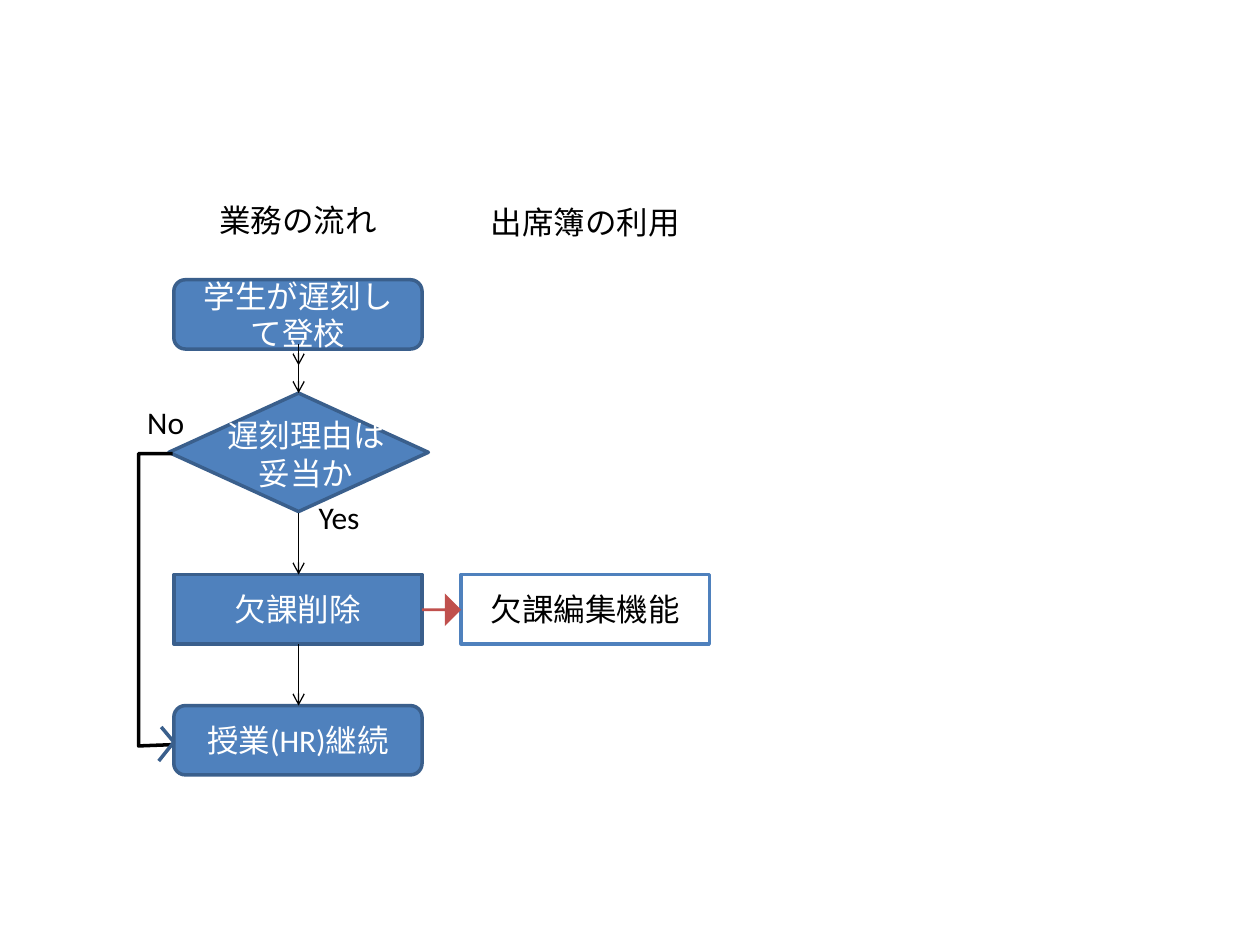
"""Build a flow chart for handling late arrivals."""
from lxml.etree import SubElement
from pptx import Presentation
from pptx.dml.color import RGBColor
from pptx.enum.shapes import MSO_CONNECTOR, MSO_SHAPE
from pptx.enum.text import MSO_ANCHOR, PP_ALIGN
from pptx.oxml.ns import qn
from pptx.util import Inches, Pt

BLUE = RGBColor(0x4F, 0x81, 0xBD)
NAVY = RGBColor(0x3A, 0x5F, 0x8C)
RED = RGBColor(0xC0, 0x50, 0x4D)
WHITE = RGBColor(255, 255, 255)
BLACK = RGBColor(0, 0, 0)
LEFT, RIGHT = 1.38, 3.66
WIDE, HIGH = 1.97, 0.55
MID = 2.37


def write(frame, text, color=BLACK, align=PP_ALIGN.CENTER, anchor=MSO_ANCHOR.TOP):
    """Fill a text frame, one paragraph per line."""
    frame.word_wrap = True
    frame.vertical_anchor = anchor
    frame.text = text
    for para in frame.paragraphs:
        para.alignment = align
        for run in para.runs:
            run.font.size = Pt(18)
            run.font.name = "Calibri"
            run.font.color.rgb = color


def label(slide, text, x, y, w, h=0.4, **form):
    """Add a text box."""
    box = slide.shapes.add_textbox(Inches(x), Inches(y), Inches(w), Inches(h))
    write(box.text_frame, text, **form)


def block(slide, kind, x, y, w=WIDE, h=HIGH, fill=BLUE, line=NAVY):
    """Add a filled shape and return it."""
    shape = slide.shapes.add_shape(kind, Inches(x), Inches(y), Inches(w), Inches(h))
    shape.shadow.inherit = False
    shape.fill.solid()
    shape.fill.fore_color.rgb = fill
    if line is None:
        shape.line.fill.background()
    else:
        shape.line.color.rgb = line
        shape.line.width = Pt(2)
    return shape


def step(slide, text, kind, x, y, color=WHITE, **form):
    """Add a captioned step of the flow."""
    shape = block(slide, kind, x, y, **form)
    write(shape.text_frame, text, color=color, anchor=MSO_ANCHOR.MIDDLE)


def arrow(slide, top, end):
    """Add a downward arrow on the main axis."""
    link = slide.shapes.add_connector(
        MSO_CONNECTOR.STRAIGHT, Inches(MID), Inches(top), Inches(MID), Inches(end))
    link.line.color.rgb = BLACK
    link.line.width = Pt(0.75)
    SubElement(link.line._get_or_add_ln(), qn("a:tailEnd"), type="arrow")
    SubElement(link._element.spPr, qn("a:effectLst"))


def trace(slide, points, color):
    """Add an open outline through the points."""
    first, *rest = [(Inches(x), Inches(y)) for x, y in points]
    pen = slide.shapes.build_freeform(*first)
    pen.add_line_segments(rest, close=False)
    shape = pen.convert_to_shape()
    shape.shadow.inherit = False
    shape.fill.background()
    shape.line.color.rgb = color
    shape.line.width = Pt(2)


def main():
    """Draw the slide and save it."""
    deck = Presentation()
    deck.slide_width, deck.slide_height = Inches(10), Inches(7.5)
    slide = deck.slides.add_slide(deck.slide_layouts[6])

    block(slide, MSO_SHAPE.FLOWCHART_DECISION, 1.34, 3.12, 2.06, 0.94)
    label(slide, "遅刻理由は\n妥当か", 1.11, 3.25, 2.64, 0.71, color=WHITE)

    box, round_box = MSO_SHAPE.FLOWCHART_PROCESS, MSO_SHAPE.ROUNDED_RECTANGLE
    step(slide, "学生が遅刻して登校", round_box, LEFT, 2.22)
    step(slide, "欠課編集機能", box, RIGHT, 4.56, color=BLACK, fill=WHITE, line=BLUE)
    step(slide, "欠課削除", box, LEFT, 4.56)
    step(slide, "授業(HR)継続", round_box, LEFT, 5.6)

    link = block(slide, MSO_SHAPE.RIGHT_ARROW, 3.35, 4.71, 0.31, 0.26, RED, None)
    link.adjustments[0] = 0.09
    link.adjustments[1] = 0.5

    trace(slide, [(1.37, 3.6), (1.1, 3.6), (1.1, 5.92), (1.37, 5.91)], BLACK)
    trace(slide, [(1.28, 5.77), (1.38, 5.89), (1.26, 6.04)], NAVY)
    label(slide, "No", 1.07, 3.15, 0.51, align=PP_ALIGN.LEFT)
    label(slide, "Yes", 2.43, 3.9, 0.67, align=PP_ALIGN.LEFT)

    for top, end in [(4.07, 4.56), (2.77, 3.12), (5.11, 5.6), (2.73, 2.9)]:
        arrow(slide, top, end)

    label(slide, "業務の流れ", LEFT, 1.55, WIDE)
    label(slide, "出席簿の利用", RIGHT, 1.56, WIDE)
    deck.save("out.pptx")


main()
